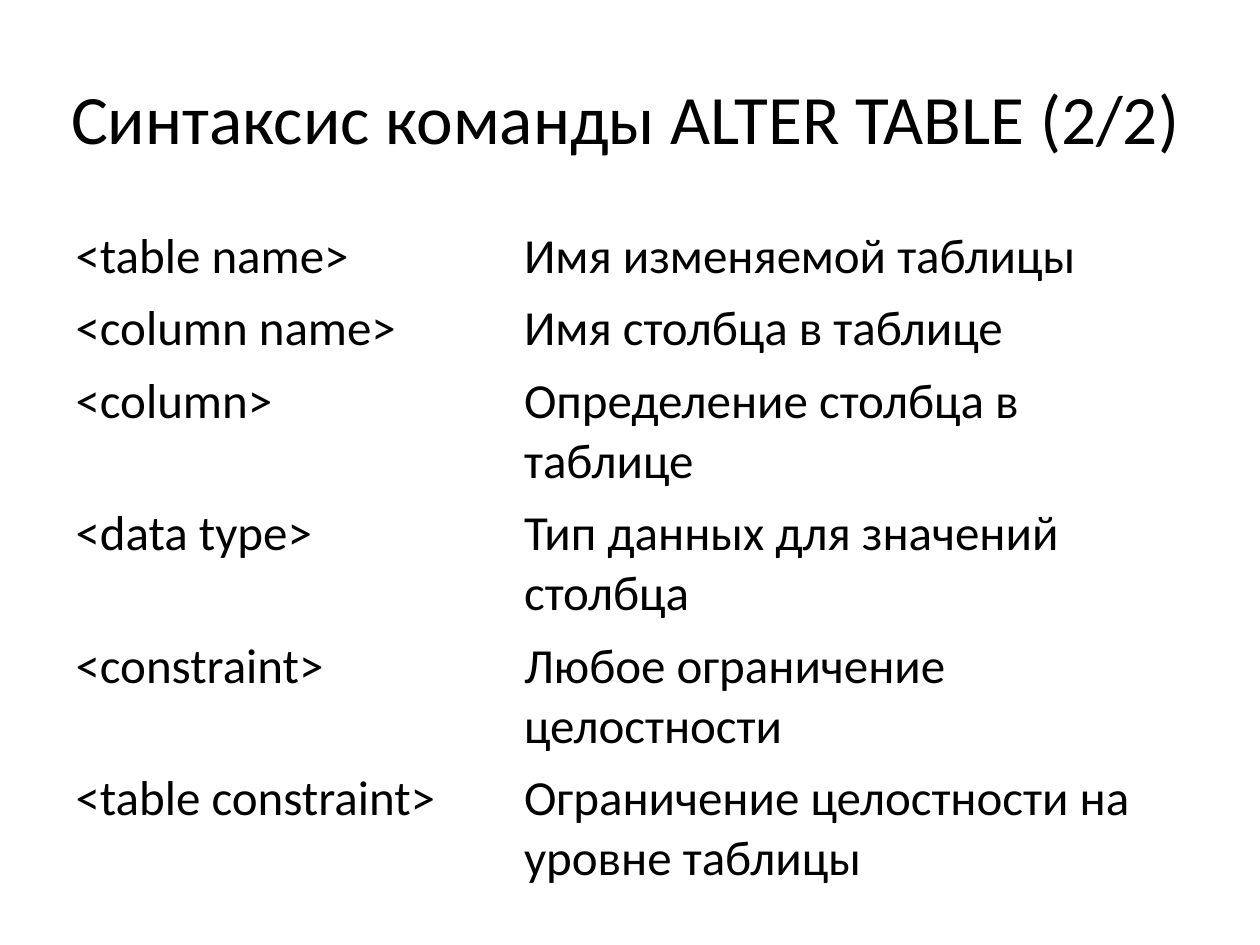
from dataclasses import dataclass

import pptx
import pptx.dml.color
import pptx.enum.text
import pptx.util

Pt = pptx.util.Pt


@dataclass(frozen=True)
class Theme:
    font: str = "Calibri"
    text: pptx.dml.color.RGBColor = pptx.dml.color.RGBColor(0, 0, 0)
    title_size: float = 39.6
    table_size: float = 28


@dataclass(frozen=True)
class Term:
    name: str
    meaning: str


THEME = Theme()
TITLE = "Синтаксис команды ALTER TABLE (2/2)"
TERMS = [
    Term("<table name>", "Имя изменяемой таблицы"),
    Term("<column name>", "Имя столбца в таблице"),
    Term("<column>", "Определение столбца в таблице"),
    Term("<data type>", "Тип данных для значений столбца"),
    Term("<constraint>", "Любое ограничение целостности"),
    Term("<table constraint>", "Ограничение целостности на уровне таблицы"),
]
COLUMN_WIDTHS = (256.3, 391.7)
ROW_HEIGHT = 29.5


def add_text(para, text: str, size: float) -> None:
    """Add one run in the theme's font and colour."""
    span = para.add_run()
    span.text = text
    span.font.name = THEME.font
    span.font.size = Pt(size)
    span.font.color.rgb = THEME.text


def add_title(page, text: str) -> None:
    box = page.shapes.title
    box.left, box.top, box.width, box.height = Pt(14.4), Pt(21.6), Pt(686), Pt(90)
    frame = box.text_frame
    frame.word_wrap = True
    frame.auto_size = pptx.enum.text.MSO_AUTO_SIZE.NONE
    frame.vertical_anchor = pptx.enum.text.MSO_ANCHOR.MIDDLE
    para = frame.paragraphs[0]
    para.alignment = pptx.enum.text.PP_ALIGN.CENTER
    add_text(para, text, THEME.title_size)


def add_term_table(page, terms: list[Term]) -> None:
    table = page.shapes.add_table(
        len(terms), len(COLUMN_WIDTHS), Pt(36), Pt(126),
        Pt(sum(COLUMN_WIDTHS)), Pt(ROW_HEIGHT * len(terms)),
    ).table
    table.first_row = False
    table.horz_banding = False
    for column, width in zip(table.columns, COLUMN_WIDTHS):
        column.width = Pt(width)
    for row, term in zip(table.rows, terms):
        for cell, text in zip(row.cells, (term.name, term.meaning)):
            cell.fill.background()
            add_text(cell.text_frame.paragraphs[0], text, THEME.table_size)


def main() -> None:
    deck = pptx.Presentation()
    deck.slide_width, deck.slide_height = Pt(720), Pt(540)
    page = deck.slides.add_slide(deck.slide_layouts.get_by_name("Title Only"))

    # Heading
    add_title(page, TITLE)
    # Syntax terms and their meanings
    add_term_table(page, TERMS)

    deck.save("out.pptx")


if __name__ == "__main__":
    main()
